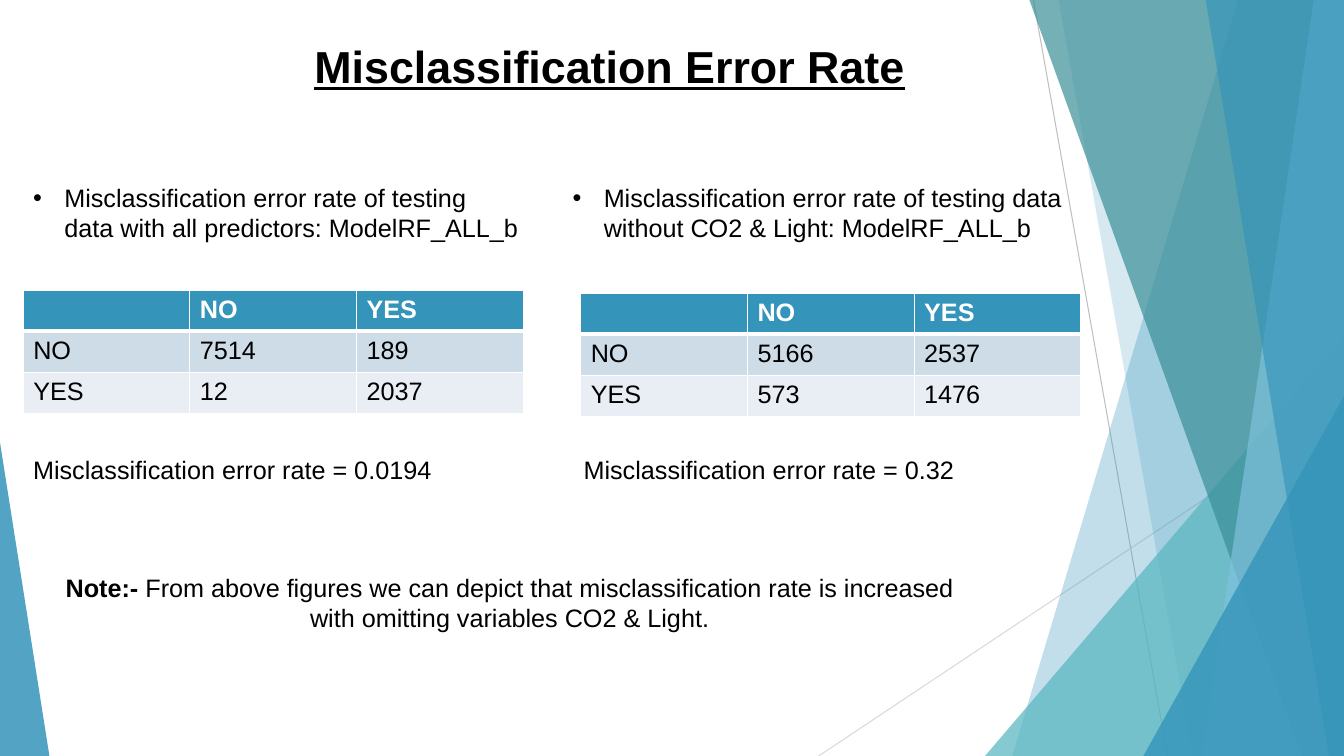
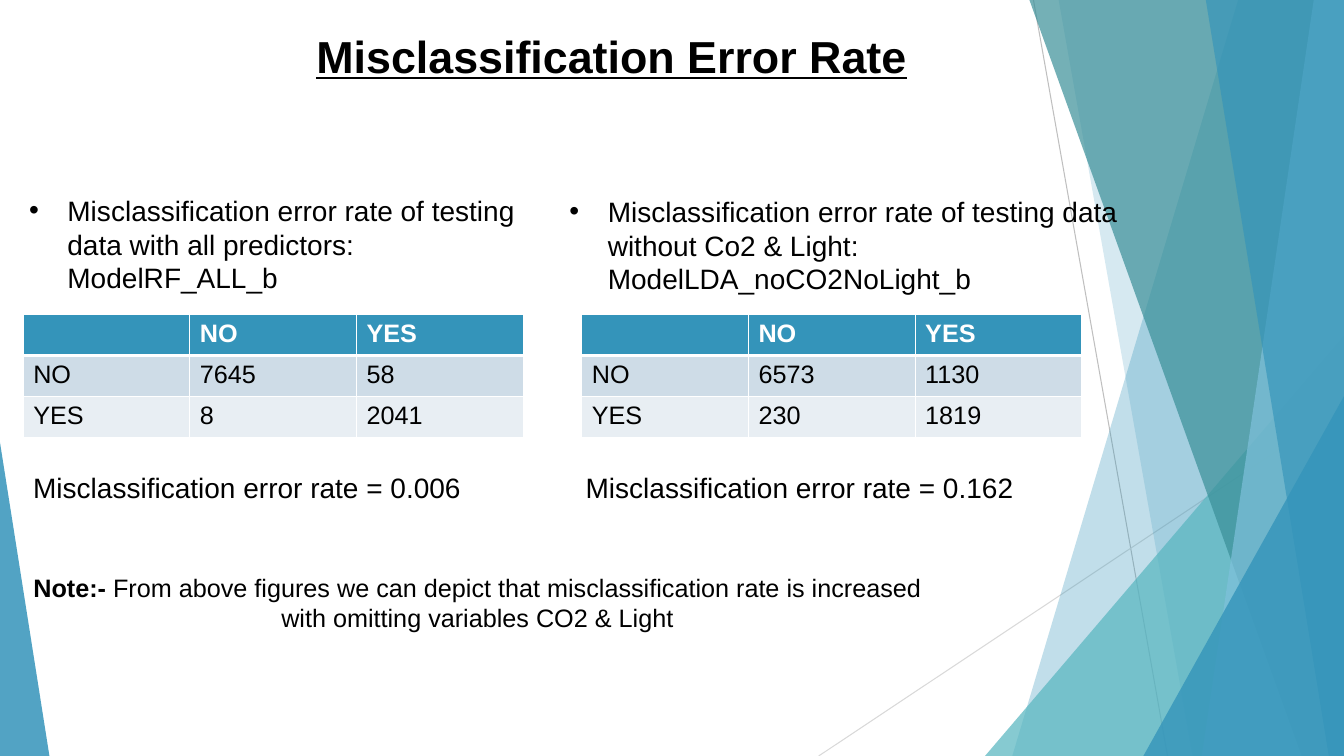
from lxml.etree import SubElement
from pptx import Presentation
from pptx.dml.color import RGBColor
from pptx.enum.shapes import MSO_CONNECTOR as Connector, MSO_SHAPE as Preset
from pptx.enum.text import MSO_ANCHOR as Anchor, MSO_AUTO_SIZE as AutoSize, PP_ALIGN as Align
from pptx.oxml.ns import qn
from pptx.util import Inches, Pt

COLOURS = {
    "blue": "3494BA", "teal": "58B6C0", "deep_teal": "3A8F98", "sky": "7FC1DB",
    "row_dark": "CEDCE7", "row_light": "E8EEF3", "white": "FFFFFF", "black": "000000",
    "grey": "BFBFBF", "pale_grey": "D9D9D9",
}
FORMATS = {
    "title": {"size": Pt(32), "bold": True, "underline": True},
    "body": {"size": Pt(18), "bold": False},
    "strong": {"size": Pt(18), "bold": True},
    "large": {"size": Pt(20), "bold": False},
}
WIDTH, HEIGHT = 13.33, 7.5
TABLE_WIDTH, TABLE_HEIGHT = 4.96, 1.22
RATE = "Misclassification error rate"
NOTE = ("From above figures we can depict that misclassification rate "
        "is increased with omitting variables CO2 & Light")

SLIDES = [
    {
        "title": (3.02, 0.29), "style": "body", "indent": 0.31, "note": (0.55, NOTE + "."),
        "panels": [
            {"heading": (0.23, 1.76, 5.04, 0.71),
             "subject": "with all predictors: ModelRF_ALL_b",
             "table": (0.23, 2.88), "counts": [(7514, 189), (12, 2037)],
             "rate": (0.23, 4.46, 5.04, 0.4), "value": "0.0194"},
            {"heading": (5.58, 1.76, 5.69, 0.71),
             "subject": "without CO2 & Light: ModelRF_ALL_b",
             "table": (5.76, 2.91), "counts": [(5166, 2537), (573, 1476)],
             "rate": (5.69, 4.46, 5.04, 0.4), "value": "0.32"},
        ],
    },
    {
        "title": (3.04, 0.19), "style": "large", "indent": 0.38, "note": (0.23, NOTE),
        "panels": [
            {"heading": (0.19, 1.87, 5.52, 1.11),
             "subject": "with all predictors: ModelRF_ALL_b",
             "table": (0.23, 3.12), "counts": [(7645, 58), (8, 2041)],
             "rate": (0.23, 4.62, 5.04, 0.44), "value": "0.006"},
            {"heading": (5.55, 1.88, 6.3, 1.11),
             "subject": "without Co2 & Light: ModelLDA_noCO2NoLight_b",
             "table": (5.77, 3.12), "counts": [(6573, 1130), (230, 1819)],
             "rate": (5.71, 4.62, 5.04, 0.44), "value": "0.162"},
        ],
    },
]


def colour(name):
    return RGBColor.from_string(COLOURS[name])


def inches(*lengths):
    return [Inches(length) for length in lengths]


def paint(shape, name, opacity):
    shape.shadow.inherit = False
    shape.line.fill.background()
    shape.fill.solid()
    shape.fill.fore_color.rgb = colour(name)
    tint = shape.fill._xPr.find(qn("a:solidFill"))[0]
    SubElement(tint, qn("a:alpha"), val=str(opacity * 1000))


def add_line(page, start, end, name):
    line = page.shapes.add_connector(Connector.STRAIGHT, *inches(*start, *end))
    line.line.color.rgb = colour(name)
    line.line.width = Pt(0.75)
    SubElement(line.element.spPr, qn("a:effectLst"))


def add_band(page, top_left, bottom_left, name, opacity):
    outline = page.shapes.build_freeform(*inches(top_left, 0))
    corners = [(WIDTH, 0), (WIDTH, HEIGHT), (bottom_left, HEIGHT)]
    outline.add_line_segments([inches(*corner) for corner in corners], close=True)
    paint(outline.convert_to_shape(), name, opacity)


def add_triangle(page, left, top, width, apex, name, opacity):
    triangle = page.shapes.add_shape(Preset.ISOSCELES_TRIANGLE,
                                     *inches(left, top, width, HEIGHT - top))
    triangle.adjustments[0] = apex
    paint(triangle, name, opacity)


def add_backdrop(page, layout):
    add_line(page, (10.25, 0), (11.58, HEIGHT), "grey")
    add_line(page, (WIDTH, 4.03), (8.12, HEIGHT), "pale_grey")
    add_band(page, 12.28, 10.04, "blue", 30)
    add_band(page, 10.5, 11.83, "blue", 20)
    add_triangle(page, 9.77, 3.33, 3.56, 1, "teal", 72)
    add_band(page, 10.21, 12.91, "deep_teal", 70)
    add_band(page, 13.03, 11.92, "sky", 70)
    add_band(page, 11.96, 13.18, "blue", 65)
    add_triangle(page, 11.34, 3.93, 1.99, 1, "blue", 80)
    add_triangle(page, 0, 4.39, 0.49, 0, "blue", 85)
    for shape in list(page.shapes):
        layout.shapes.element.append(shape.element)


def add_span(para, text, style, name="black"):
    span = para.add_run()
    span.text = text
    span.font.name = "Arial"
    span.font.color.rgb = colour(name)
    for attribute, value in FORMATS[style].items():
        setattr(span.font, attribute, value)


def add_text(page, place, spans, **frame_format):
    box = page.shapes.add_textbox(*inches(*place))
    settings = {"word_wrap": True, "auto_size": AutoSize.SHAPE_TO_FIT_TEXT, **frame_format}
    for attribute, value in settings.items():
        setattr(box.text_frame, attribute, value)
    para = box.text_frame.paragraphs[0]
    for text, style in spans:
        add_span(para, text, style)
    return para


def add_bullet(para, indent):
    properties = para._p.get_or_add_pPr()
    properties.set("marL", str(Inches(indent)))
    properties.set("indent", str(-Inches(indent)))
    SubElement(properties, qn("a:buFont"), typeface="Arial")
    SubElement(properties, qn("a:buChar"), char="•")


def add_border(cell, side, points):
    edge = SubElement(cell._tc.get_or_add_tcPr(), qn(f"a:ln{side}"), w=str(Pt(points)))
    fill = SubElement(edge, qn("a:solidFill"))
    SubElement(fill, qn("a:srgbClr"), val=COLOURS["white"])


def add_matrix(page, place, counts):
    rows = [("", "NO", "YES"), ("NO", *counts[0]), ("YES", *counts[1])]
    fills = ["blue", "row_dark", "row_light"]
    table = page.shapes.add_table(3, 3, *inches(*place, TABLE_WIDTH, TABLE_HEIGHT)).table
    for row, values in enumerate(rows):
        header = row == 0
        for column, value in enumerate(values):
            cell = table.cell(row, column)
            for side in "LRTB":
                thick = (header and side == "B") or (row == 1 and side == "T")
                add_border(cell, side, 3 if thick else 1)
            cell.fill.solid()
            cell.fill.fore_color.rgb = colour(fills[row])
            if value != "":
                add_span(cell.text_frame.paragraphs[0], str(value),
                         "strong" if header else "body", "white" if header else "black")


def add_panel(page, panel, style, indent):
    heading = f"{RATE} of testing data {panel['subject']}"
    add_bullet(add_text(page, panel["heading"], [(heading, style)]), indent)
    add_matrix(page, panel["table"], panel["counts"])
    add_text(page, panel["rate"], [(f"{RATE} = {panel['value']}", style)])


def fill_page(page, content):
    add_text(page, (*content["title"], 9.4, 0.72), [("Misclassification Error Rate", "title")],
             auto_size=AutoSize.NONE, vertical_anchor=Anchor.MIDDLE)
    for panel in content["panels"]:
        add_panel(page, panel, content["style"], content["indent"])
    left, note = content["note"]
    para = add_text(page, (left, 5.63, 9.01, 0.71), [("Note:- ", "strong"), (note, "body")])
    para.alignment = Align.CENTER


def main():
    deck = Presentation()
    deck.slide_width, deck.slide_height = inches(WIDTH, HEIGHT)
    blank = deck.slide_layouts[6]
    pages = [deck.slides.add_slide(blank) for _ in SLIDES]
    add_backdrop(pages[0], blank)
    for page, content in zip(pages, SLIDES):
        fill_page(page, content)
    deck.save("out.pptx")


main()
